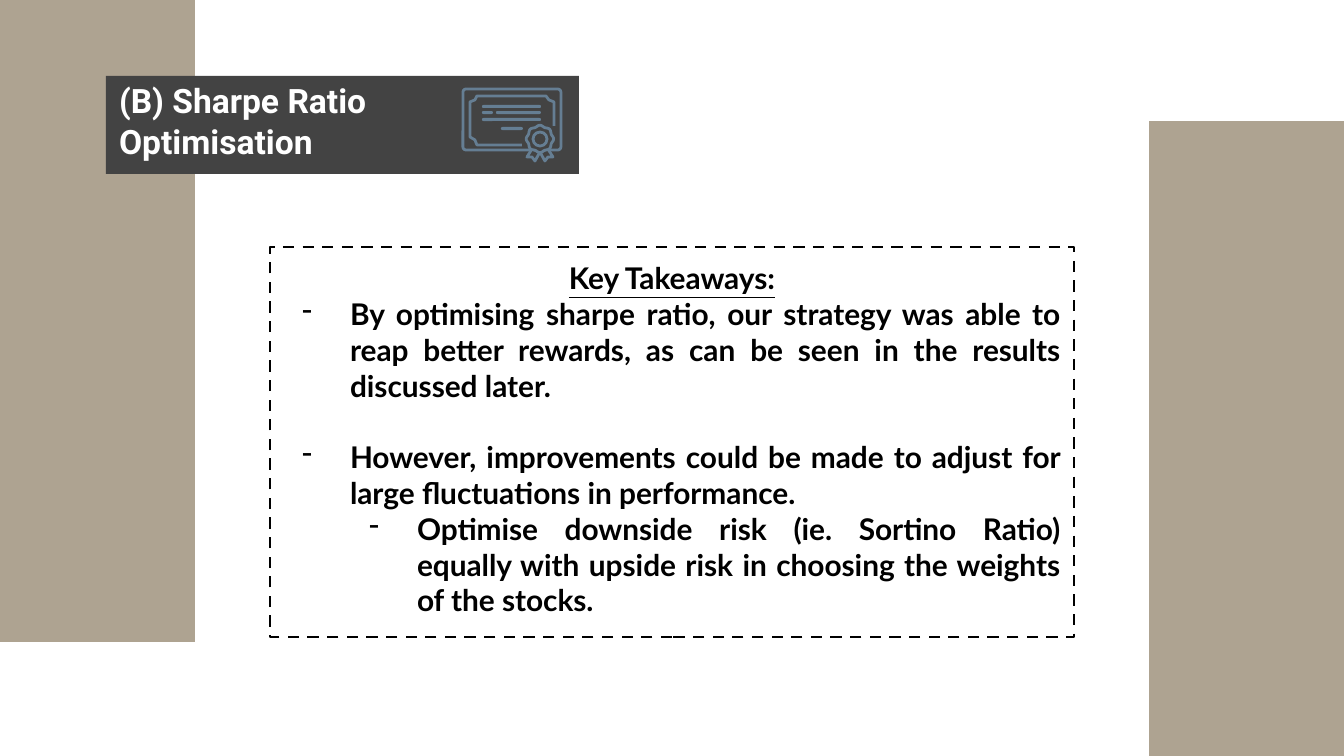
"""Build the Sharpe ratio takeaways slide."""
from math import cos, pi, sin

from lxml.etree import SubElement
from pptx import Presentation
from pptx.dml.color import RGBColor
from pptx.enum.dml import MSO_LINE as Dash
from pptx.enum.shapes import MSO_SHAPE as Shape
from pptx.enum.text import MSO_ANCHOR as Anchor, PP_ALIGN as Align
from pptx.oxml.ns import qn
from pptx.util import Pt

SCALE = 914400 / 134.4
TAN = RGBColor(0x90, 0x82, 0x69)
DARK = RGBColor(0x43, 0x43, 0x43)
BLUE = RGBColor(0x65, 0x7E, 0x93)
WHITE = RGBColor(0xFF, 0xFF, 0xFF)
BLACK = RGBColor(0, 0, 0)
INSET = 13
HANG = 48


def px(num):
    """Turn pixels into EMU."""
    return round(num * SCALE)


def paint(shape, fill=None, line=None, width=1.5):
    """Set the fill and line of a shape, without shadow."""
    shape.shadow.inherit = False
    if fill is None:
        shape.fill.background()
    else:
        shape.fill.solid()
        shape.fill.fore_color.rgb = fill
    if line is None:
        shape.line.fill.background()
    else:
        shape.line.color.rgb = line
        shape.line.width = Pt(width)
    return shape


def block(shapes, box, kind=Shape.RECTANGLE, **look):
    """Add a painted preset shape."""
    return paint(shapes.add_shape(kind, *map(px, box)), **look)


def path(shapes, left, top, points, close=False, **look):
    """Add a painted outline through points relative to a corner."""
    spots = [(px(left + x), px(top + y)) for x, y in points]
    pen = shapes.build_freeform(*spots[0])
    pen.add_line_segments(spots[1:], close=close)
    return paint(pen.convert_to_shape(), **look)


def frame(shape, anchor=Anchor.TOP):
    """Prepare the text frame of a shape."""
    body = shape.text_frame
    body.word_wrap = True
    body.vertical_anchor = anchor
    body.margin_left = body.margin_right = px(INSET)
    body.margin_top = body.margin_bottom = px(INSET)
    return body


def write(para, text, font="Lato", size=16, color=BLACK, align=Align.LEFT,
          under=False, indent=0, gap=0):
    """Fill a paragraph, with a dash bullet when it is indented."""
    para.alignment = align
    if gap:
        para.space_before = Pt(gap)
    if indent:
        props = para._p.get_or_add_pPr()
        props.set("marL", str(px(indent)))
        props.set("indent", str(-px(HANG)))
        tint = SubElement(props, qn("a:buClr"))
        SubElement(tint, qn("a:srgbClr")).set("val", str(BLACK))
        SubElement(props, qn("a:buChar")).set("char", "-")
    run = para.add_run()
    run.text = text
    face = run.font
    face.name, face.size, face.bold = font, Pt(size), True
    face.underline = under
    face.color.rgb = color


def panel(shapes, box):
    """Add a translucent side panel."""
    shape = block(shapes, box, fill=TAN)
    tint = shape._element.spPr.find(".//" + qn("a:srgbClr"))
    SubElement(tint, qn("a:alpha")).set("val", "73000")


def award(shapes, left, top):
    """Draw the certificate icon from its top left corner."""
    parts = shapes.add_group_shape().shapes
    edge = block(parts, (left + 1, top + 1, 98, 61),
                 Shape.ROUNDED_RECTANGLE, line=BLUE)
    edge.adjustments[0] = 0.05
    inner = [(60, 57), (15, 57), (13, 52), (8, 49), (8, 14), (13, 12),
             (15, 8), (84, 8), (87, 12), (92, 14), (92, 38)]
    path(parts, left, top, inner, line=BLUE)
    for x, y, wide in ((20, 17, 59), (20, 23, 11), (34, 23, 45),
                       (20, 30, 59), (39, 39, 22)):
        bar = block(parts, (left + x, top + y, wide, 3),
                    Shape.ROUNDED_RECTANGLE, fill=BLUE)
        bar.adjustments[0] = 0.5
    mid, high = left + 78, top + 51
    for side in (-1, 1):
        tail = [(-8, 10), (-13, 18), (-8, 18), (-5, 22), (0, 13)]
        path(parts, mid, high, [(side * x, y) for x, y in tail],
             close=True, fill=DARK, line=BLUE)
    rim = []
    for step in range(80):
        turn = step * pi / 40
        reach = 13 + 0.7 * cos(8 * turn)
        rim.append((reach * cos(turn), reach * sin(turn)))
    path(parts, mid, high, rim, close=True, fill=DARK, line=BLUE)
    block(parts, (mid - 7, high - 7, 14, 14), Shape.OVAL, line=BLUE)


def title(shapes, box):
    """Add the title card with its icon."""
    left, top, wide, high = box
    block(shapes, box, fill=DARK)
    label = shapes.add_textbox(*map(px, box))
    write(frame(label, Anchor.BOTTOM).paragraphs[0],
          "(B) Sharpe Ratio Optimisation", font="Roboto", size=18,
          color=WHITE)
    award(shapes, left + wide - 117, top + 12)


def notes(shapes, box):
    """Add the dashed box of takeaways."""
    shape = block(shapes, box, line=BLACK)
    shape.line.dash_style = Dash.DASH
    body = frame(shape)
    write(body.paragraphs[0], "Key Takeaways:", align=Align.CENTER,
          under=True)
    points = (
        ("By optimising sharpe ratio, our strategy was able to reap better "
         "rewards, as can be seen in the results discussed later.", 67, 0),
        ("However, improvements could be made to adjust for large "
         "fluctuations in performance.", 67, 19),
        ("Optimise downside risk (ie. Sortino Ratio) equally with upside "
         "risk in choosing the weights of the stocks.", 134, 0),
    )
    for text, indent, gap in points:
        write(body.add_paragraph(), text, align=Align.JUSTIFY,
              indent=indent, gap=gap)


def main():
    """Build and save the slide."""
    deck = Presentation()
    deck.slide_width, deck.slide_height = px(1344), px(756)
    shapes = deck.slides.add_slide(deck.slide_layouts[6]).shapes
    panel(shapes, (1149, 121, 195, 642))
    panel(shapes, (0, 0, 195, 642))
    title(shapes, (106, 76, 473, 98))
    notes(shapes, (270, 247, 804, 390))
    deck.save("out.pptx")


if __name__ == "__main__":
    main()
